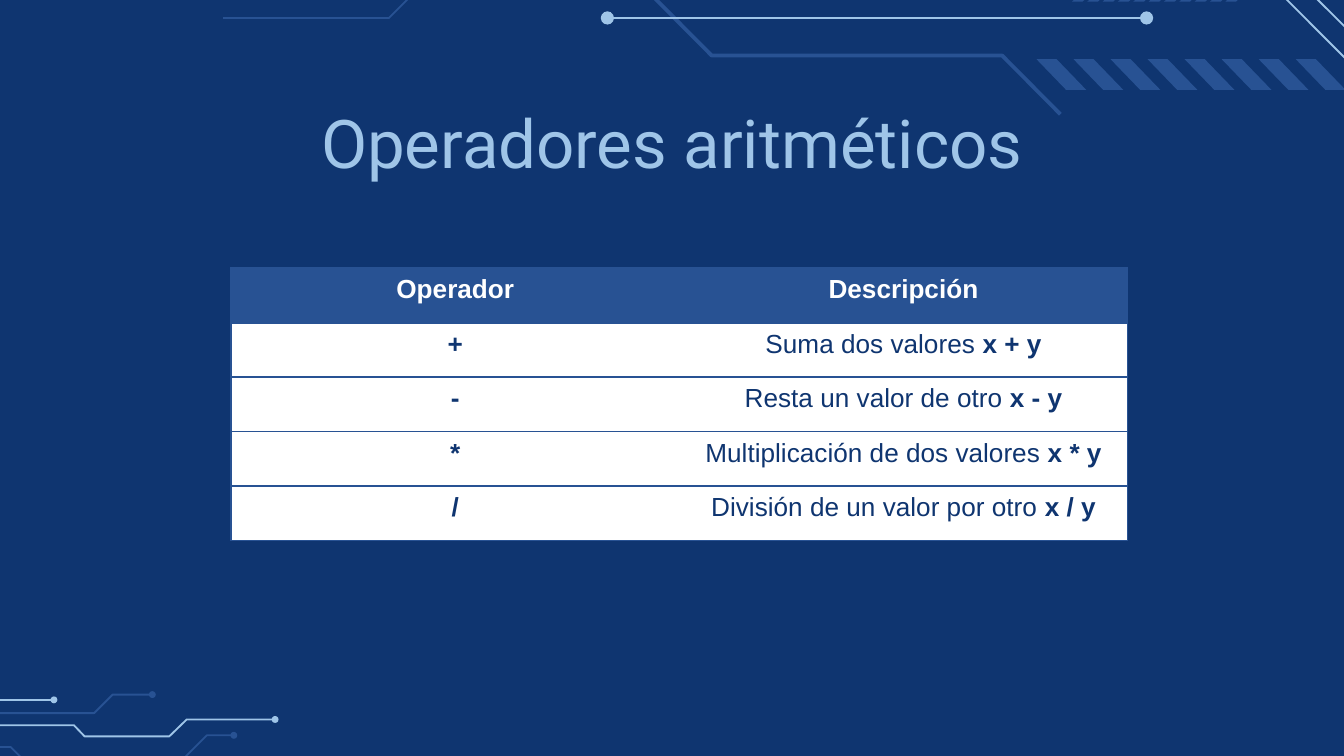
from lxml import etree
from pptx import Presentation
from pptx import util as u
from pptx.dml.color import RGBColor
from pptx.enum import shapes, text
from pptx.oxml import ns

NAVY = RGBColor(0x0F, 0x35, 0x70)
BLUE = RGBColor(0x28, 0x52, 0x93)
SKY = RGBColor(0x9F, 0xC5, 0xE8)
WHITE = RGBColor(0xFF, 0xFF, 0xFF)

TOP_TRACES = [
    (SKY, 1, [(26.37, 2.05), (22.67, -1.66), (19.32, -1.66), (17.91, -0.27),
              (14.49, -0.27), (12.48, -2.3), (10.53, -2.3)]),
    (BLUE, 2, [(20.04, 2.16), (18.94, 1.05), (13.45, 1.05), (12.03, -0.38), (9.5, -0.38)]),
    (BLUE, 1, [(4.22, 0.34), (7.35, 0.34), (8.66, -0.97), (11.02, -0.97)]),
]
TOP_LINES = [
    ((11.48, 0.34), (21.67, 0.34)),
    ((23.22, -1.68), (27, 2.08)),
    ((23.69, -1.89), (27.46, 1.87)),
]
BOTTOM_TRACES = [
    (SKY, True, [(-4.39, 13.71), (1.4, 13.71), (1.6, 13.92), (3.2, 13.92),
                 (3.53, 13.6), (5.2, 13.6)]),
    (BLUE, False, [(-2.77, 14.12), (0.2, 14.12), (0.51, 14.43), (3.73, 14.43)]),
    (BLUE, True, [(3.38, 14.43), (3.91, 13.9), (4.42, 13.9)]),
    (BLUE, True, [(-2.9, 13), (-2.41, 13.48), (1.78, 13.48), (2.13, 13.13), (2.88, 13.13)]),
    (SKY, True, [(-1.98, 13.23), (1.02, 13.23)]),
]
STRIPE = [(0.56, 0.58), (0, 0), (0.38, 0), (0.94, 0.58)]
CHEVRON = [(0, 0.51), (0.3, 0.25), (0.03, 0), (0.23, 0), (0.49, 0.25), (0.2, 0.51)]

HEADINGS = ["Operador", "Descripción"]
OPERATORS = [
    ("+", "Suma dos valores ", "x + y"),
    ("-", "Resta un valor de otro ", "x - y"),
    ("*", "Multiplicación de dos valores ", "x * y"),
    ("/", "División de un valor por otro ", "x / y"),
]


class CircuitSlide:
    title_font = "Roboto"
    body_font = "Arial"

    def __init__(self, deck):
        self.page = deck.slides.add_slide(deck.slide_layouts[5])
        fill = self.page.background.fill
        fill.solid()
        fill.fore_color.rgb = NAVY

    def outline(self, points, closed):
        corners = [(u.Cm(x), u.Cm(y)) for x, y in points]
        builder = self.page.shapes.build_freeform(*corners[0])
        builder.add_line_segments(corners[1:], close=closed)
        shape = builder.convert_to_shape()
        shape.shadow.inherit = False
        return shape

    def trace(self, points, color, weight):
        shape = self.outline(points, False)
        shape.fill.background()
        shape.line.color.rgb = color
        shape.line.width = u.Pt(weight)

    def line(self, start, end, color, weight):
        ends = [u.Cm(value) for value in (*start, *end)]
        connector = self.page.shapes.add_connector(shapes.MSO_CONNECTOR.STRAIGHT, *ends)
        connector.line.color.rgb = color
        connector.line.width = u.Pt(weight)
        etree.SubElement(connector._element.spPr, ns.qn("a:effectLst"))

    def dot(self, center, size, color):
        x, y = center
        shape = self.page.shapes.add_shape(
            shapes.MSO_SHAPE.OVAL, u.Cm(x - size / 2), u.Cm(y - size / 2), u.Cm(size), u.Cm(size))
        shape.shadow.inherit = False
        shape.fill.solid()
        shape.fill.fore_color.rgb = color
        shape.line.fill.background()

    def row_of(self, pattern, count, left, top, step):
        for index in range(count):
            shape = self.outline([(left + index * step + x, top + y) for x, y in pattern], True)
            shape.fill.solid()
            shape.fill.fore_color.rgb = BLUE
            shape.line.fill.background()

    def style(self, span, font, size, color, bold=False):
        span.font.name = font
        span.font.size = u.Pt(size)
        span.font.color.rgb = color
        span.font.bold = bold

    def title(self, words):
        box = self.page.shapes.title
        box.left, box.top, box.width, box.height = map(u.Cm, (2, 2, 21.4, 1.36))
        frame = box.text_frame
        frame.text = words
        frame.word_wrap = True
        frame.auto_size = text.MSO_AUTO_SIZE.NONE
        frame.vertical_anchor = text.MSO_ANCHOR.MIDDLE
        frame.margin_left = frame.margin_right = frame.margin_top = frame.margin_bottom = 0
        para = frame.paragraphs[0]
        para.alignment = text.PP_ALIGN.CENTER
        self.style(para.runs[0], self.title_font, 36, SKY)

    def border(self, cell, side, visible):
        edge = etree.SubElement(cell._tc.get_or_add_tcPr(), ns.qn("a:ln" + side), w=str(u.Pt(1)))
        if visible:
            fill = etree.SubElement(edge, ns.qn("a:solidFill"))
            etree.SubElement(fill, ns.qn("a:srgbClr"), val=str(BLUE))
        else:
            etree.SubElement(edge, ns.qn("a:noFill"))

    def cell(self, cell, parts, fill, color, inner_side):
        for side in "LRTB":
            self.border(cell, side, side != inner_side)
        cell.fill.solid()
        cell.fill.fore_color.rgb = fill
        para = cell.text_frame.paragraphs[0]
        para.alignment = text.PP_ALIGN.CENTER
        for words, bold in parts:
            span = para.add_run()
            span.text = words
            self.style(span, self.body_font, 14, color, bold)

    def table(self, headings, operators):
        rows = [[[(heading, True)] for heading in headings]]
        rows += [[[(sign, True)], [(meaning, False), (example, True)]]
                 for sign, meaning, example in operators]
        table = self.page.shapes.add_table(
            len(rows), 2, u.Cm(4.37), u.Cm(5.07), u.Cm(16.94), u.Cm(5.15)).table
        table.horz_banding = False
        for index, row in enumerate(rows):
            fill, color = (WHITE, NAVY) if index else (BLUE, WHITE)
            for column, parts in enumerate(row):
                self.cell(table.cell(index, column), parts, fill, color, "RL"[column])


def main():
    deck = Presentation()
    deck.slide_width, deck.slide_height = u.Cm(25.4), u.Cm(14.29)
    slide = CircuitSlide(deck)
    for color, weight, points in TOP_TRACES:
        slide.trace(points, color, weight)
    for start, end in TOP_LINES:
        slide.line(start, end, SKY, 1)
    for center in TOP_LINES[0]:
        slide.dot(center, 0.25, SKY)
    slide.row_of(STRIPE, 8, 19.59, 1.12, 0.7)
    slide.row_of(CHEVRON, 11, 20.26, -0.48, 0.29)
    for color, dotted, points in BOTTOM_TRACES:
        slide.trace(points, color, 1)
        if dotted:
            slide.dot(points[-1], 0.13, color)
    slide.title("Operadores aritméticos")
    slide.table(HEADINGS, OPERATORS)
    deck.save("out.pptx")


if __name__ == "__main__":
    main()
